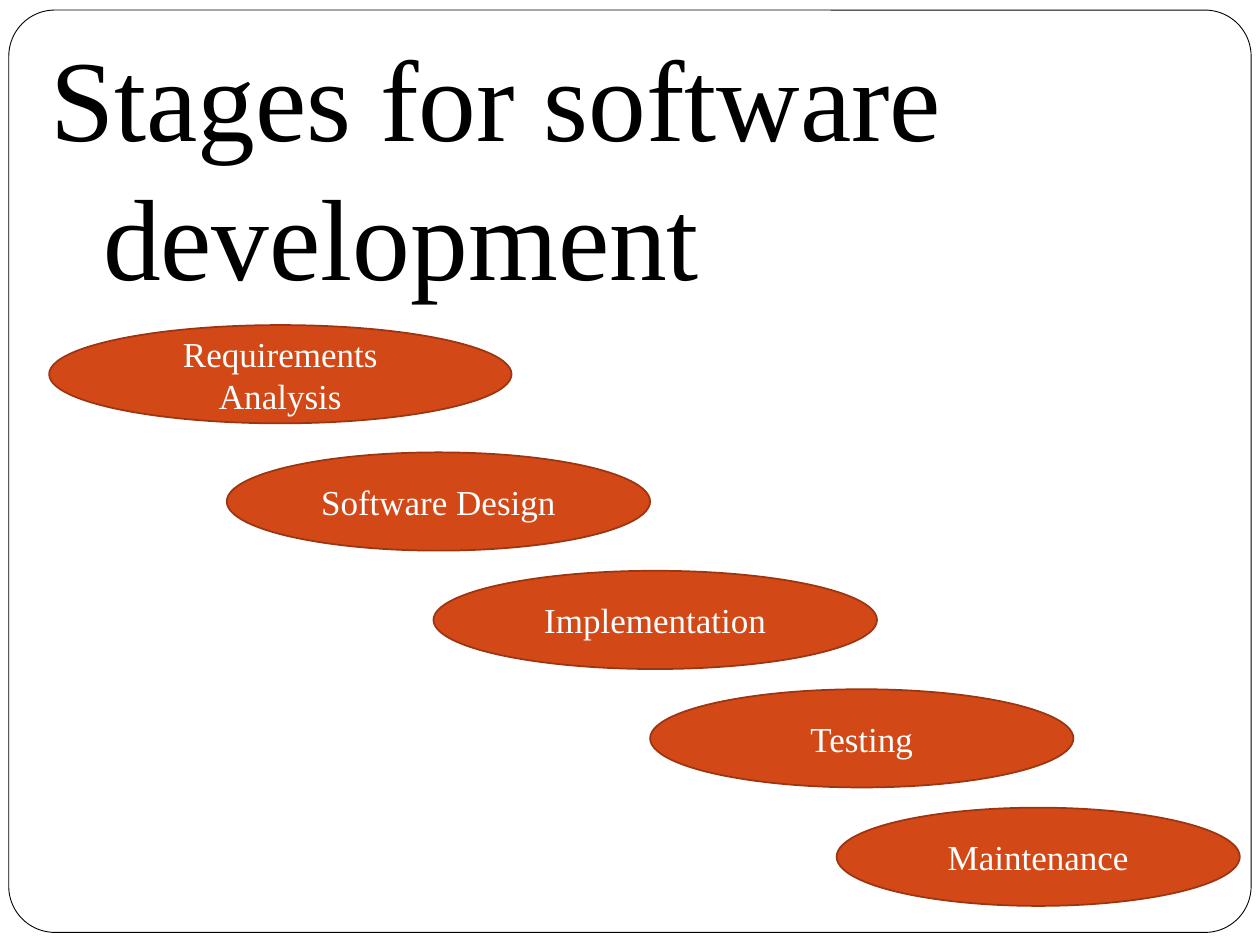
from dataclasses import dataclass

from pptx import Presentation
from pptx.dml.color import RGBColor as Rgb
from pptx.enum.shapes import MSO_SHAPE as Form
from pptx.enum.text import MSO_ANCHOR as Anchor, PP_ALIGN as Align
from pptx.util import Inches, Pt


@dataclass(frozen=True)
class Theme:
    font: str = "Times New Roman"
    white: Rgb = Rgb(0xFF, 0xFF, 0xFF)
    black: Rgb = Rgb(0, 0, 0)
    fill: Rgb = Rgb(0xD3, 0x48, 0x17)
    edge: Rgb = Rgb(0x9C, 0x35, 0x11)
    title: int = 66
    label: int = 20


THEME = Theme()

# Label, left offset and width of each stage
STAGES = [
    ("Requirements Analysis", 0, 3.67),
    ("Software Design", 1.41, 3.36),
    ("Implementation", 3.05, 3.52),
    ("Testing", 4.77, 3.36),
    ("Maintenance", 6.25, 3.2),
]


def add_form(slide, form, box, fill, edge, weight):
    shape = slide.shapes.add_shape(form, *map(Inches, box))
    shape.shadow.inherit = False
    shape.fill.solid()
    shape.fill.fore_color.rgb = fill
    shape.line.color.rgb = edge
    shape.line.width = Pt(weight)
    return shape


def set_font(para, size, color):
    para.font.name = THEME.font
    para.font.size = Pt(size)
    para.font.color.rgb = color


def add_frame(slide, box):
    frame = add_form(slide, Form.ROUNDED_RECTANGLE, box,
                     THEME.white, THEME.black, 0.5)
    frame.adjustments[0] = 0.05


def add_title(slide, box, text):
    area = slide.shapes.add_textbox(*map(Inches, box)).text_frame
    area.word_wrap = True
    para = area.paragraphs[0]
    para.text = text
    para.space_before = Pt(0.2 * THEME.title)
    set_font(para, THEME.title, THEME.black)
    # Hanging indent
    props = para._p.get_or_add_pPr()
    props.set("marL", str(Inches(0.49)))
    props.set("indent", str(Inches(-0.42)))


def add_stages(slide, box):
    left, top, _, height = box
    tall, first, step = 0.78, 1.01, 0.94
    for i, (name, shift, wide) in enumerate(STAGES):
        # The first gap is slightly larger than the rest
        drop = first + (i - 1) * step if i else 0
        oval = add_form(slide, Form.OVAL,
                        (left + shift, top + drop, wide, tall),
                        THEME.fill, THEME.edge, 1)
        area = oval.text_frame
        area.word_wrap = True
        area.vertical_anchor = Anchor.MIDDLE
        para = area.paragraphs[0]
        para.text = name
        para.alignment = Align.CENTER
        set_font(para, THEME.label, THEME.white)


def main():
    deck = Presentation()
    deck.slide_width, deck.slide_height = Inches(10), Inches(7.5)
    slide = deck.slides.add_slide(deck.slide_layouts[6])
    add_frame(slide, (0.07, 0.08, 9.86, 7.32))
    add_title(slide, (0.23, 0.16, 9, 2.34), "Stages for software development")
    add_stages(slide, (0.39, 2.58, 9.45, 4.61))
    deck.save("out.pptx")


if __name__ == "__main__":
    main()
